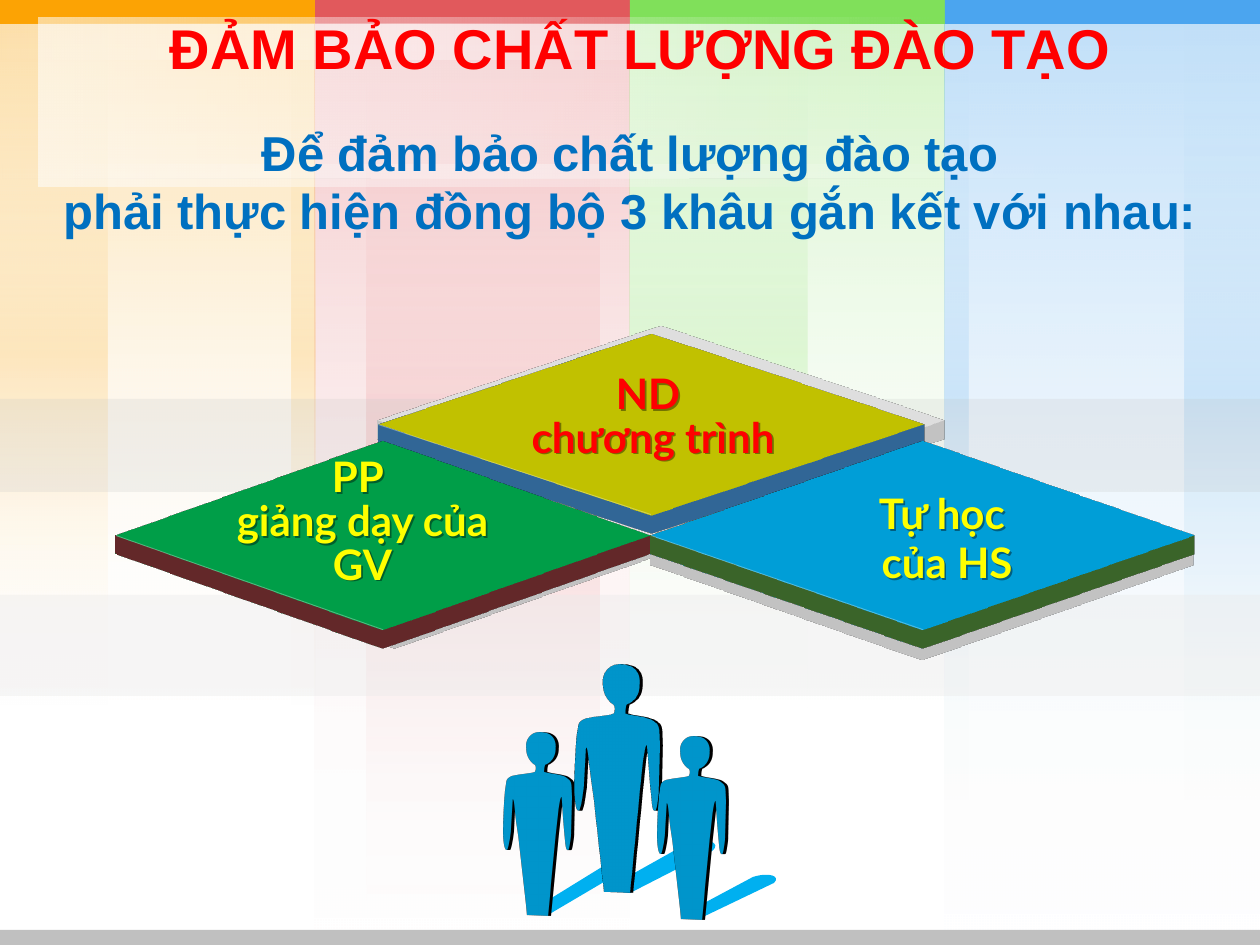
from lxml import etree
from pptx import Presentation
from pptx.dml.color import RGBColor
from pptx.enum.shapes import MSO_CONNECTOR, MSO_SHAPE
from pptx.enum.text import MSO_ANCHOR, PP_ALIGN
from pptx.oxml import parse_xml
from pptx.oxml.ns import nsdecls, qn
from pptx.util import Emu, Pt

PX = 914400 / 126
RECT, DIAMOND = MSO_SHAPE.RECTANGLE, MSO_SHAPE.DIAMOND
STRAIGHT, CENTER = MSO_CONNECTOR.STRAIGHT, PP_ALIGN.CENTER
TOP, MIDDLE = MSO_ANCHOR.TOP, MSO_ANCHOR.MIDDLE

THEME = {
    "orange": "FCA304", "rose": "E1595C", "lime": "80E05A", "sky": "4BA5EF",
    "white": "FFFFFF", "footer": "C0C0C0", "pale": "EAEAEA",
    "red": "FF0000", "blue": "0070C0", "yellow": "FFFF00",
    "plate": "F8F8F8", "green": "00B050", "cyan": "00B0F0",
    "yellow side": "3F82BF", "green side": "7F3335", "cyan side": "4A8035",
    "black": "000000",
    "title": {"name": "Arial", "size": Pt(32), "bold": True},
    "lead": {"name": "Arial", "size": Pt(28), "bold": True},
    "label": {"name": "Lato", "size": Pt(24), "bold": True},
}

# Column: left, colour, sheet height, sheet count, strip height, strips (left, width)
COLUMNS = [
    (315, "rose", 945, 2, 945, [(367, 232)]),
    (630, "lime", 708, 2, 708, [(630, 178)]),
    (945, "sky", 941, 2, 803, [(945, 24), (1185, 75)]),
    (0, "orange", 708, 2, 708, [(292, 23), (0, 107)]),
]
PLATES = [(378, 284, 567, 273), (126, 399, 537, 273), (651, 410, 543, 273)]
TILES = [
    ((378, 294, 546, 261), "yellow", "legacyFlat4"),
    ((116, 399, 534, 273), "green", "legacyFlat3"),
    ((651, 399, 544, 273), "cyan", "legacyFlat3"),
]
LABELS = [
    ((210, 451, 305, 145), ["PP ", "giảng dạy của GV"], "yellow", 25),
    ((483, 368, 330, 101), ["ND", " chương trình"], "red", 25),
    ((819, 483, 256, 112), ["Tự học ", "của HS"], "yellow", 28),
]
# Outlines: two numbers make a line, six make a cubic curve
CAST_SHADOWS = [
    [(529, 912), (548, 915), (626, 869), (639, 861, 627, 862, 624, 862),
     (619, 861, 617, 859, 602, 867)],
    [(604, 890), (630, 893), (712, 851), (723, 842, 704, 839, 699, 839),
     (696, 839, 696, 840, 679, 848)],
    [(682, 915), (703, 917), (774, 883), (781, 876, 769, 872, 753, 877)],
]
PERSON = [
    (33, 33), (28, 30, 24, 24, 24, 16), (23, 9, 29, 0, 39, 1),
    (49, 1, 56, 6, 55, 17), (55, 27, 49, 31, 44, 33), (43, 36, 43, 38, 43, 40),
    (49, 42, 63, 42, 68, 47), (73, 50, 71, 56, 72, 65), (71, 103),
    (70, 111, 69, 117, 68, 117), (65, 118, 65, 107, 64, 99), (61, 65),
    (59, 65, 57, 83, 55, 103), (47, 182), (25, 181), (16, 104),
    (12, 82, 12, 68, 10, 67), (8, 99), (7, 108, 5, 117, 4, 117),
    (1, 117, 0, 107, 0, 98), (0, 88, 1, 68, 2, 59), (4, 50, 2, 48, 7, 45),
    (12, 42, 29, 42, 33, 40), (34, 39, 35, 35, 33, 33),
]
PEOPLE = [(501, 732, 0.8), (572, 663, 1), (655, 736, 0.8)]


def px(*values):
    """Turn pixel lengths into EMU."""
    return [Emu(round(v * PX)) for v in values]


def rgb(color):
    """Read a theme colour."""
    return RGBColor.from_string(THEME[color])


def set_alpha(element, percent):
    """Make the colour inside an element partly transparent."""
    clr = element.find(".//" + qn("a:srgbClr"))
    etree.SubElement(clr, qn("a:alpha")).set("val", str(percent * 1000))


def paint(sp, color, alpha=100):
    """Give a shape a plain fill without line or shadow."""
    sp.shadow.inherit = False
    sp.line.fill.background()
    sp.fill.solid()
    sp.fill.fore_color.rgb = rgb(color)
    if alpha < 100:
        set_alpha(sp._element.spPr, alpha)


def add_block(s, shape, box, color, alpha=100):
    """Add a plain preset shape."""
    sp = s.shapes.add_shape(shape, *px(*box))
    paint(sp, color, alpha)
    return sp


def add_fade(s, box, stops, sideways=False):
    """Add a rectangle with a gradient of (position, colour, alpha) stops."""
    x, y, w, h = box
    if sideways:
        x, y, w, h = x + (w - h) / 2, y + (h - w) / 2, h, w
    sp = s.shapes.add_shape(RECT, *px(x, y, w, h))
    sp.rotation = 270 if sideways else 0
    sp.shadow.inherit = False
    sp.line.fill.background()
    marks = "".join(
        f'<a:gs pos="{pos * 1000}"><a:srgbClr val="{THEME[color]}">'
        f'<a:alpha val="{alpha * 1000}"/></a:srgbClr></a:gs>' for pos, color, alpha in stops)
    sp._element.spPr.find(qn("a:prstGeom")).addnext(parse_xml(
        f'<a:gradFill {nsdecls("a")} rotWithShape="1"><a:gsLst>{marks}</a:gsLst>'
        '<a:lin ang="5400000" scaled="0"/></a:gradFill>'))


def extrude(sp, color, depth, rig, lat=0, lon=0):
    """Turn a shape in space and give it depth."""
    spPr = sp._element.spPr
    spPr.append(parse_xml(
        f'<a:scene3d {nsdecls("a")}><a:camera prst="legacyObliqueFront">'
        f'<a:rot lat="{lat * 60000}" lon="{lon * 60000}" rev="0"/></a:camera>'
        f'<a:lightRig rig="{rig}" dir="r"/></a:scene3d>'))
    spPr.append(parse_xml(
        f'<a:sp3d {nsdecls("a")} extrusionH="{px(depth)[0]}" prstMaterial="legacyMatte">'
        f'<a:extrusionClr><a:srgbClr val="{THEME[color]}"/></a:extrusionClr></a:sp3d>'))


def add_outline(s, outline, color):
    """Add a closed outline of lines and cubic curves."""
    segs = [[round(v * 10) for v in seg] for seg in outline]
    ends = [seg[-2:] for seg in segs]
    builder = s.shapes.build_freeform(*ends[0], scale=PX / 10)
    builder.add_line_segments(ends[1:], close=True)
    sp = builder.convert_to_shape()
    paint(sp, color)
    low = [min(end[k] for end in ends) for k in (0, 1)]
    lines = sp._element.spPr.findall(".//" + qn("a:lnTo"))
    for line, seg in zip(lines, segs[1:]):
        if len(seg) == 6:
            curve = etree.Element(qn("a:cubicBezTo"))
            for i in (0, 2, 4):
                pt = etree.SubElement(curve, qn("a:pt"))
                pt.set("x", str(seg[i] - low[0]))
                pt.set("y", str(seg[i + 1] - low[1]))
            line.getparent().replace(line, curve)
    return sp


def add_tile(s, box, color, rig):
    """Add a raised diamond with a thin light line on its front edge."""
    x, y, w, h = box
    extrude(add_block(s, DIAMOND, box, color), f"{color} side", 26, rig, lat=314)
    middle = y + h / 2
    line = s.shapes.add_connector(STRAIGHT, *px(x, middle, x + w / 2, middle + h * 0.345))
    line.line.width = Pt(0.5)
    line.line.color.rgb = rgb("white")
    set_alpha(line.line._ln, 30)
    etree.SubElement(line._element.spPr, qn("a:effectLst"))


def add_person(s, x, y, scale):
    """Add a standing figure with a dark edge."""
    unit = 1.26 * scale
    outline = [[v * unit + (y if i % 2 else x) for i, v in enumerate(seg)] for seg in PERSON]
    extrude(add_outline(s, outline, "cyan"), "black", 9, "legacyFlat4", lon=20)


def add_text(s, box, lines, style, color, spacing=None, anchor=TOP, shadow=False):
    """Add centred text, one paragraph a line."""
    sp = s.shapes.add_textbox(*px(*box))
    tf = sp.text_frame
    tf.word_wrap, tf.vertical_anchor = True, anchor
    for i, line in enumerate(lines):
        p = tf.add_paragraph() if i else tf.paragraphs[0]
        p.alignment = CENTER
        if spacing:
            p.line_spacing = Pt(spacing)
        r = p.add_run()
        r.text = line
        for key, value in THEME[style].items():
            setattr(r.font, key, value)
        r.font.color.rgb = rgb(color)
    if shadow:
        sp._element.spPr.append(parse_xml(
            f'<a:effectLst {nsdecls("a")}><a:outerShdw dist="17961" dir="2700000">'
            '<a:srgbClr val="000000"><a:alpha val="40000"/></a:srgbClr>'
            '</a:outerShdw></a:effectLst>'))


def add_background(s):
    """Add the coloured columns and the horizontal bands."""
    for x, color, height, sheets, strip_height, strips in COLUMNS:
        for left, width in strips:
            add_fade(s, (left, 0, width, strip_height),
                     [(0, "white", 0), (50, color, 20), (100, "white", 0)])
        for _ in range(sheets):
            add_fade(s, (x, 0, 315, height), [(0, color, 20), (100, "white", 0)])
    for x, color, *_ in COLUMNS:
        add_block(s, RECT, (x, 0, 315, 24), color)
    glow = [(0, "white", 35), (100, "white", 0)]
    soft = [(0, "white", 0), (50, "white", 35), (100, "white", 0)]
    for box, stops in (((0, 165, 1061, 13), soft), ((39, 17, 906, 169), glow),
                       ((0, 24, 808, 36), soft), ((39, 17, 906, 169), glow)):
        add_fade(s, box, stops, sideways=True)
    add_block(s, RECT, (0, 930, 1260, 15), "footer")
    add_block(s, RECT, (0, 399, 1260, 93), "footer", 20)
    add_block(s, RECT, (0, 595, 1260, 101), "pale", 40)


def main():
    """Build the slide and save it."""
    prs = Presentation()
    prs.slide_width, prs.slide_height = px(1260, 945)
    s = prs.slides.add_slide(prs.slide_layouts[6])
    add_background(s)
    add_text(s, (0, 116, 1260, 190), ["Để đảm bảo chất lượng đào tạo",
             "phải thực hiện đồng bộ 3 khâu gắn kết với nhau:"], "lead", "blue")
    for box in PLATES:
        extrude(add_block(s, DIAMOND, box, "plate"), "plate", 26, "legacyFlat3", lat=314)
    for tile in TILES:
        add_tile(s, *tile)
    for box, lines, color, spacing in LABELS:
        add_text(s, box, lines, "label", color, spacing, shadow=True)
    for outline in CAST_SHADOWS:
        add_outline(s, outline, "cyan")
    for person in PEOPLE:
        add_person(s, *person)
    add_text(s, (63, 0, 1155, 95), ["ĐẢM BẢO CHẤT LƯỢNG ĐÀO TẠO"], "title", "red", anchor=MIDDLE)
    prs.save("out.pptx")


if __name__ == "__main__":
    main()
